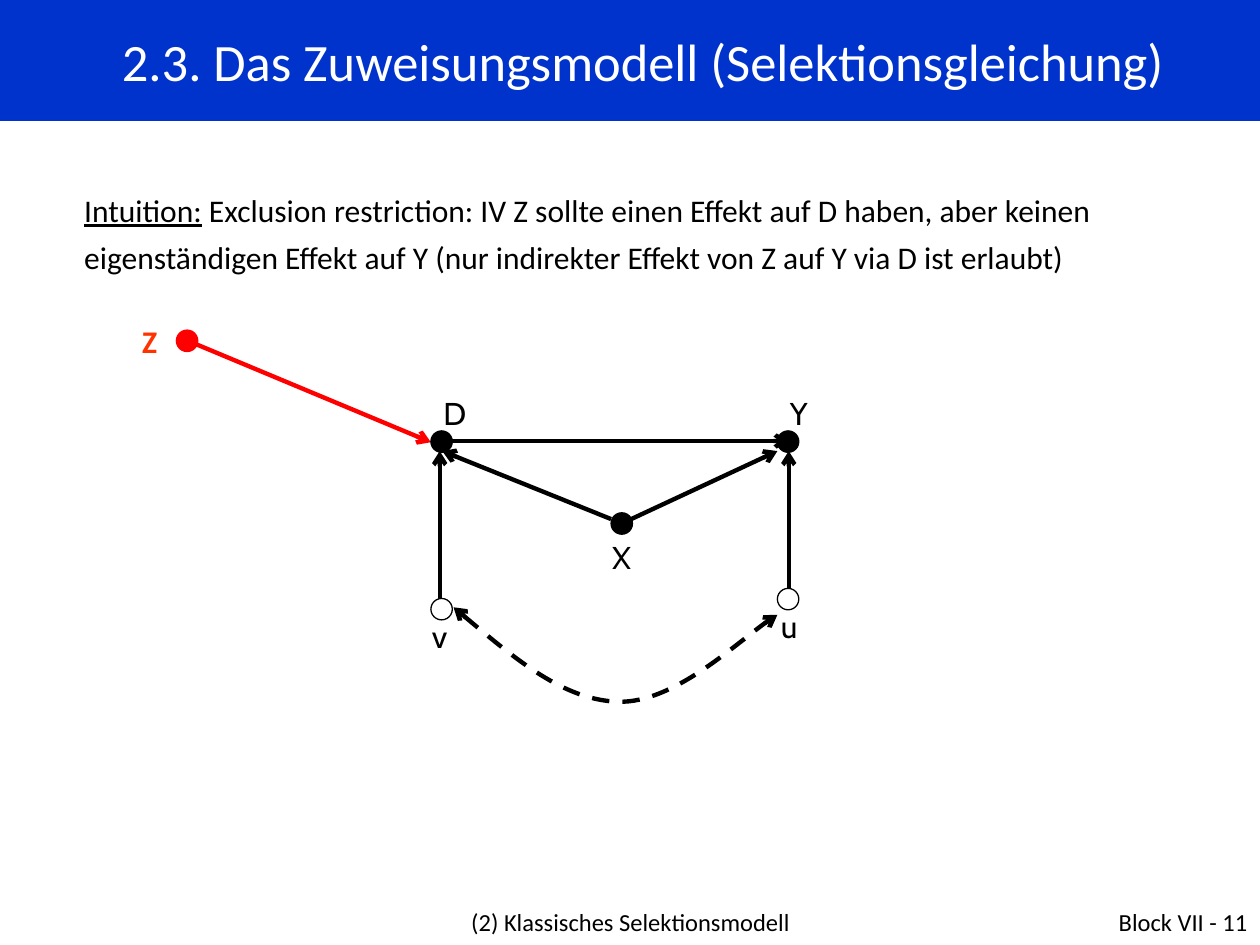
import dataclasses
import lxml.etree
import pptx
import pptx.dml.color
import pptx.enum.dml
import pptx.enum.shapes
import pptx.enum.text
import pptx.oxml.ns
import pptx.util

Inches = pptx.util.Inches
Pt = pptx.util.Pt
Align = pptx.enum.text.PP_ALIGN
Shape = pptx.enum.shapes.MSO_SHAPE
qn = pptx.oxml.ns.qn

COLORS = {"blue": "0033CC", "white": "FFFFFF", "black": "000000",
          "red": "FF0000", "orange": "FF3300"}
DOT = 0.17


@dataclasses.dataclass
class Node:
    left: float
    top: float
    fill: str | None = "black"
    line: str = "black"


@dataclasses.dataclass
class Arrow:
    start: tuple[float, float]
    end: tuple[float, float]
    color: str = "black"


@dataclasses.dataclass
class Label:
    text: str
    left: float
    top: float
    width: float = 0.5
    height: float = 0.4
    font: str = "Cabin"
    size: int = 18
    color: str = "black"
    bold: bool = False
    align: Align = Align.LEFT


def rgb(name: str) -> pptx.dml.color.RGBColor:
    return pptx.dml.color.RGBColor.from_string(COLORS[name])


def style(run, font: str, size: int, color: str, bold: bool = False) -> None:
    run.font.name = font
    run.font.size = Pt(size)
    run.font.bold = bold
    run.font.color.rgb = rgb(color)


def draw_label(slide, label: Label):
    box = slide.shapes.add_textbox(Inches(label.left), Inches(label.top),
                                   Inches(label.width), Inches(label.height))
    frame = box.text_frame
    frame.word_wrap = True
    frame.text = label.text
    para = frame.paragraphs[0]
    para.alignment = label.align
    style(para.runs[0], label.font, label.size, label.color, label.bold)
    return para


def draw_node(slide, node: Node) -> None:
    dot = slide.shapes.add_shape(Shape.OVAL, Inches(node.left), Inches(node.top),
                                 Inches(DOT), Inches(DOT))
    dot.shadow.inherit = False
    if node.fill:
        dot.fill.solid()
        dot.fill.fore_color.rgb = rgb(node.fill)
    else:
        dot.fill.background()
    dot.line.color.rgb = rgb(node.line)
    dot.line.width = Pt(0.75)


def set_line(shape, color: str, ends: tuple[str, ...]) -> None:
    shape.line.color.rgb = rgb(color)
    shape.line.width = Pt(2.5)
    for end in ends:
        lxml.etree.SubElement(shape.line._get_or_add_ln(), qn(f"a:{end}"), type="arrow")


def draw_arrow(slide, arrow: Arrow) -> None:
    (x1, y1), (x2, y2) = arrow.start, arrow.end
    line = slide.shapes.add_connector(pptx.enum.shapes.MSO_CONNECTOR.STRAIGHT,
                                      Inches(x1), Inches(y1), Inches(x2), Inches(y2))
    set_line(line, arrow.color, ("tailEnd",))
    lxml.etree.SubElement(line._element.spPr, qn("a:effectLst"))


def draw_curve(slide, points: list[tuple[float, float]]) -> None:
    spots = [(Inches(x), Inches(y)) for x, y in points]
    form = slide.shapes.build_freeform(*spots[0])
    form.add_line_segments(spots[1:], close=False)
    curve = form.convert_to_shape()
    curve.shadow.inherit = False
    curve.fill.background()
    curve.line.dash_style = pptx.enum.dml.MSO_LINE.DASH
    set_line(curve, "black", ("headEnd", "tailEnd"))
    # Each three line segments become one cubic Bezier segment
    steps = curve._element.xpath(".//a:lnTo")
    for i in range(0, len(steps), 3):
        cubic = lxml.etree.Element(qn("a:cubicBezTo"))
        steps[i].addprevious(cubic)
        for step in steps[i:i + 3]:
            cubic.append(step[0])
            step.getparent().remove(step)


def draw_title(slide, text: str) -> None:
    bar = slide.shapes.add_shape(Shape.RECTANGLE, 0, 0, Inches(10), Inches(0.96))
    bar.shadow.inherit = False
    bar.fill.solid()
    bar.fill.fore_color.rgb = rgb("blue")
    bar.line.fill.background()
    frame = bar.text_frame
    frame.text = text
    frame.vertical_anchor = pptx.enum.text.MSO_ANCHOR.MIDDLE
    para = frame.paragraphs[0]
    para.alignment = Align.CENTER
    props = para._p.get_or_add_pPr()
    props.set("marL", str(Inches(0.52)))
    props.set("indent", str(Inches(-0.31)))
    style(para.runs[0], "Calibri", 30, "white")


def draw_intro(slide) -> None:
    para = draw_label(slide, Label("Intuition:", 0.57, 1.39, 9.02, 0.86, "Calibri"))
    para.line_spacing = 1.25
    para.runs[0].font.underline = True
    rest = para.add_run()
    rest.text = (" Exclusion restriction: IV Z sollte einen Effekt auf D haben, "
                 "aber keinen eigenständigen Effekt auf Y "
                 "(nur indirekter Effekt von Z auf Y via D ist erlaubt)")
    style(rest, "Calibri", 18, "black")


ARROWS = [
    Arrow((1.48, 2.7), (3.42, 3.51), "red"),  # Z to D
    Arrow((3.51, 3.5), (6.26, 3.5)),          # D to Y
    Arrow((4.85, 4.12), (3.51, 3.58)),        # X to D
    Arrow((5.01, 4.12), (6.17, 3.58)),        # X to Y
    Arrow((3.49, 4.75), (3.49, 3.58)),        # v to D
    Arrow((6.26, 4.67), (6.26, 3.58)),        # u to Y
]
NODES = [
    Node(1.4, 2.62, "red", "red"),  # Z
    Node(3.42, 3.42),               # D
    Node(6.17, 3.42),               # Y
    Node(4.85, 4.07),               # X
    Node(3.42, 4.75, None),         # v
    Node(6.17, 4.67, None),         # u
]
LABELS = [
    Label("Z", 1.03, 2.51, 0.55, font="Calibri", color="orange", bold=True),
    Label("D", 3.42, 3.08),
    Label("Y", 6.17, 3.08),
    Label("X", 4.76, 4.22),
    Label("v", 3.33, 4.85),
    Label("u", 6.1, 4.77),
    # Footer
    Label("(2) Klassisches Selektionsmodell", 2.42, 7.15, 5.17, 0.35,
          "Calibri", 14, align=Align.CENTER),
    Label("Block VII - 11", 7.67, 7.15, 2.33, 0.35,
          "Calibri", 14, align=Align.RIGHT),
]
CURVE = [(3.6, 4.82), (4.04, 5.19), (4.48, 5.56), (4.91, 5.57),
         (5.34, 5.58), (5.96, 5), (6.17, 4.88)]


def main() -> None:
    deck = pptx.Presentation()
    deck.slide_width = Inches(10)
    deck.slide_height = Inches(7.5)
    slide = deck.slides.add_slide(deck.slide_layouts[6])

    # Heading and text
    draw_title(slide, "2.3. Das Zuweisungsmodell (Selektionsgleichung)")
    draw_intro(slide)

    # Causal graph
    for arrow in ARROWS:
        draw_arrow(slide, arrow)
    draw_curve(slide, CURVE)
    for node in NODES:
        draw_node(slide, node)
    for label in LABELS:
        draw_label(slide, label)

    deck.save("out.pptx")


if __name__ == "__main__":
    main()
